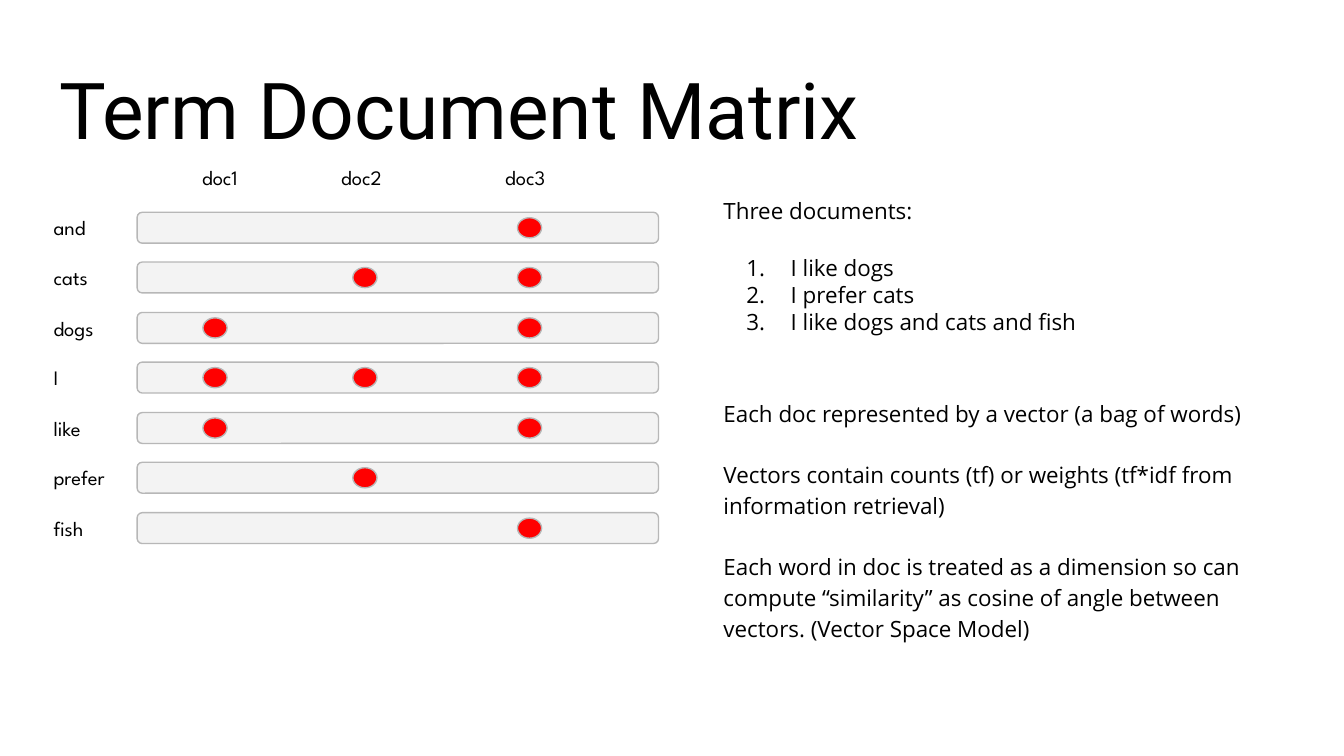
import pptx
import pptx.dml.color
import pptx.enum.shapes
import pptx.enum.text
import pptx.oxml.ns
import pptx.util
from lxml import etree

PX = 4572  # EMU per px, 200 px to the inch
BLACK, RED, PALE, GREY = "000000", "FF0000", "F3F3F3", "B7B7B7"
SHAPE = pptx.enum.shapes.MSO_SHAPE
ANCHOR = pptx.enum.text.MSO_ANCHOR

DOCS = [("doc1", 221, 242), ("doc2", 428, 465), ("doc3", 672, 710)]  # label x, dot x
TERMS = [  # term, label width, documents that hold it
    ("and", 110, [3]),
    ("cats", 110, [2, 3]),
    ("dogs", 110, [1, 3]),
    ("I", 110, [1, 2, 3]),
    ("like", 110, [1, 3]),
    ("prefer", 130, [2]),
    ("fish", 130, [3]),
]
SENTENCES = ["I like dogs", "I prefer cats", "I like dogs and cats and fish"]
NOTES = [
    "Each doc represented by a vector (a bag of words)",
    "Vectors contain counts (tf) or weights (tf*idf from information retrieval)",
    "Each word in doc is treated as a dimension so can compute “similarity” "
    "as cosine of angle between vectors. (Vector Space Model)",
]


def px(*lengths):
    return [pptx.util.Emu(n * PX) for n in lengths]


def rgb(color):
    return pptx.dml.color.RGBColor.from_string(color)


def add_text(tf, text, font, size, color=BLACK, spacing=1.0, before=0):
    """Write text as the next paragraph of the frame."""
    p = tf.paragraphs[0]
    if p.runs:
        p = tf.add_paragraph()
    p.alignment = pptx.enum.text.PP_ALIGN.LEFT
    p.line_spacing = spacing
    p.space_before = pptx.util.Pt(before)
    r = p.add_run()
    r.text = text
    r.font.name = font
    r.font.size = pptx.util.Pt(size)
    r.font.color.rgb = rgb(color)
    return p


def setup_frame(tf, anchor):
    tf.word_wrap = True
    tf.auto_size = pptx.enum.text.MSO_AUTO_SIZE.NONE
    tf.vertical_anchor = anchor
    tf.margin_left, tf.margin_top, tf.margin_right, tf.margin_bottom = px(20, 20, 20, 20)
    return tf


def add_box(s, box, anchor):
    return setup_frame(s.shapes.add_textbox(*px(*box)).text_frame, anchor)


def add_label(s, box, text):
    add_text(add_box(s, box, ANCHOR.MIDDLE), text, "League Spartan", 11)


def add_outlined(s, kind, box, fill):
    sp = s.shapes.add_shape(kind, *px(*box))
    sp.shadow.inherit = False
    sp.fill.solid()
    sp.fill.fore_color.rgb = rgb(fill)
    sp.line.color.rgb = rgb(GREY)
    sp.line.width = pptx.util.Pt(0.75)


def number(p):
    """Turn the paragraph into an item of a numbered list."""
    pPr = p._p.get_or_add_pPr()
    indent, hanging = px(100, -66)
    pPr.set("marL", str(indent))
    pPr.set("indent", str(hanging))
    bullet = etree.SubElement(pPr, pptx.oxml.ns.qn("a:buAutoNum"))
    bullet.set("type", "arabicPeriod")


def title(s, box, text):
    sp = s.shapes.title
    sp.left, sp.top, sp.width, sp.height = px(*box)
    add_text(setup_frame(sp.text_frame, ANCHOR.BOTTOM), text, "Roboto", 42)


def matrix(s, box):
    left, top, width, height = box
    row_h, bar_x = 46, 144
    pitch = (height - row_h) / len(TERMS)
    # Column heads
    for name, label_x, _ in DOCS:
        add_label(s, (left + label_x, top, 110, row_h), name)
    # One bar per term, with a dot for each document that holds it
    for i, (term, label_w, found) in enumerate(TERMS, start=1):
        y = top + round(i * pitch)
        add_label(s, (left, y, label_w, row_h), term)
        add_outlined(s, SHAPE.ROUNDED_RECTANGLE,
                     (left + bar_x, y, width - bar_x, row_h), PALE)
        for doc in found:
            dot_x = left + DOCS[doc - 1][2]
            add_outlined(s, SHAPE.OVAL, (dot_x, y + 8, 36, 30), RED)


def explanation(s, box):
    tf = add_box(s, box, ANCHOR.TOP)
    add_text(tf, "Three documents:", "Open Sans", 12, spacing=1.15)
    for i, sentence in enumerate(SENTENCES):
        number(add_text(tf, sentence, "Open Sans", 12, before=0 if i else 16))
    # The first note stands further off from the list
    for i, note in enumerate(NOTES):
        add_text(tf, note, "Open Sans", 12, spacing=1.15, before=16 if i else 33)


def main():
    prs = pptx.Presentation()
    prs.slide_width, prs.slide_height = px(2000, 1125)
    s = prs.slides.add_slide(prs.slide_layouts[5])
    title(s, (68, 69, 1864, 182), "Term Document Matrix")
    matrix(s, (60, 241, 920, 568))
    explanation(s, (1057, 268, 874, 734))
    prs.save("out.pptx")


if __name__ == "__main__":
    main()
